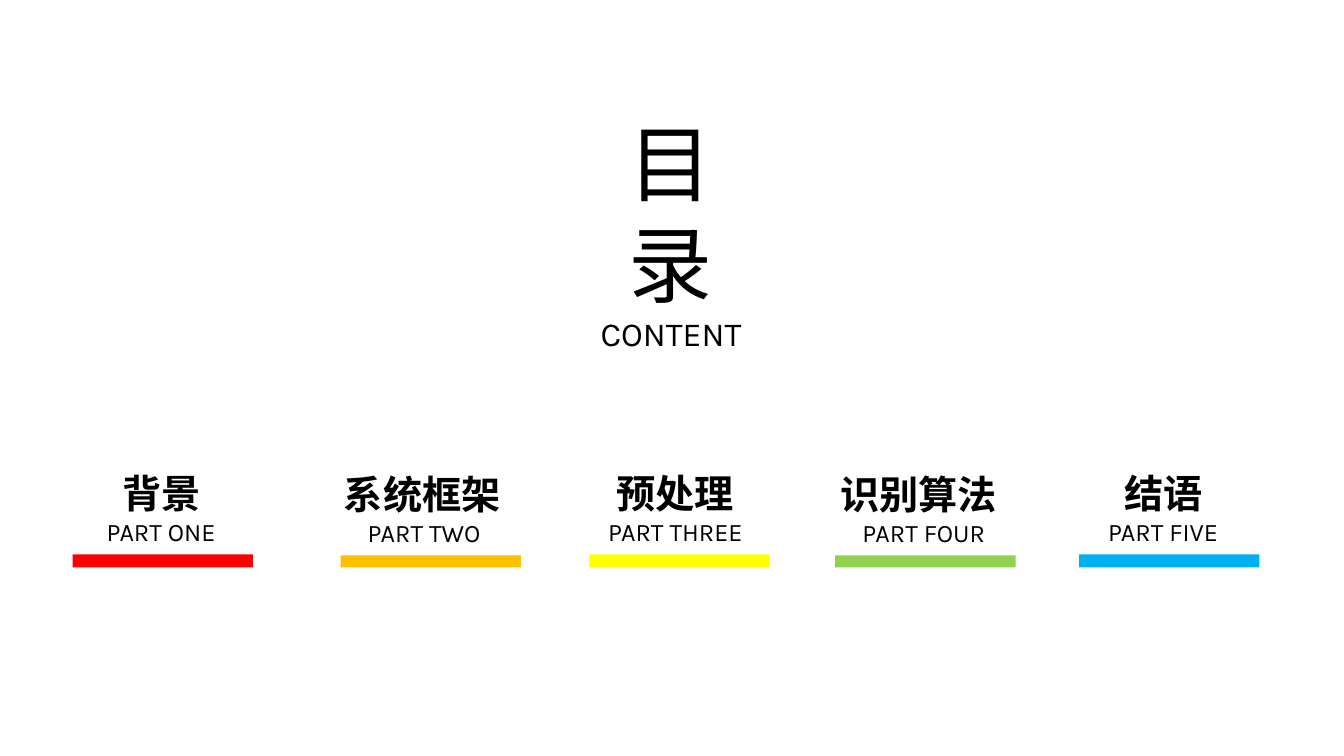
"""Build a contents slide with a title and five colour-coded parts."""
from pptx import Presentation
from pptx.dml.color import RGBColor
from pptx.enum.shapes import MSO_SHAPE
from pptx.enum.text import MSO_AUTO_SIZE, PP_ALIGN
from pptx.util import Inches, Pt

RECT = MSO_SHAPE.RECTANGLE
CENTER = PP_ALIGN.CENTER
GROW = MSO_AUTO_SIZE.SHAPE_TO_FIT_TEXT

COLORS = {
    "text": "000000",
    "red": "FF0000",
    "orange": "FFC000",
    "yellow": "FFFF00",
    "green": "92D050",
    "blue": "00B0F0",
}
FORMATS = {
    "title": {"name": "Karla", "size": Pt(60)},
    "subtitle": {"name": "Karla", "size": Pt(24)},
    "heading": {"name": "Karla", "size": Pt(28), "bold": True},
    "label": {"name": "Karla", "size": Pt(18)},
}
# heading, heading left, label, label left, label width, bar left, bar colour, drop
PARTS = [
    ("背景", 0.64, "PART ONE", 0.8, 1.6, 0.72, "red", 0),
    ("系统框架", 3.23, "PART TWO", 3.34, 1.74, 3.38, "orange", 0.01),
    ("预处理", 5.74, "PART THREE", 5.77, 1.87, 5.85, "yellow", 0),
    ("识别算法", 8.16, "PART FOUR", 8.4, 1.54, 8.29, "green", 0.01),
    ("结语", 10.59, "PART FIVE", 10.88, 1.33, 10.71, "blue", 0),
]


def add_text(s, box, lines, spacing=1.0, wrap=True):
    """Add a centred text box with one paragraph per (text, format) pair."""
    sp = s.shapes.add_textbox(*map(Inches, box))
    tf = sp.text_frame
    tf.word_wrap = wrap
    tf.auto_size = GROW
    for i, (text, style) in enumerate(lines):
        p = tf.add_paragraph() if i else tf.paragraphs[0]
        p.alignment = CENTER
        p.line_spacing = spacing
        r = p.add_run()
        r.text = text
        for key, value in FORMATS[style].items():
            setattr(r.font, key, value)
        r.font.color.rgb = RGBColor.from_string(COLORS["text"])


def add_bar(s, box, color):
    """Add a plain filled bar without outline or shadow."""
    sp = s.shapes.add_shape(RECT, *map(Inches, box))
    sp.shadow.inherit = False
    sp.fill.solid()
    sp.fill.fore_color.rgb = RGBColor.from_string(COLORS[color])
    sp.line.fill.background()


def add_part(s, heading, heading_x, label, label_x, label_w, bar_x, color, drop):
    """Add one part: heading, English label and coloured bar."""
    add_text(s, (label_x, 4.98 + drop, label_w, 0.49), [(label, "label")], 1.3)
    add_text(s, (heading_x, 4.47 + drop, 1.92, 0.71), [(heading, "heading")], 1.3)
    add_bar(s, (bar_x, 5.5 + drop, 1.79, 0.13 - drop), color)


def main():
    """Create the slide and save it."""
    prs = Presentation()
    prs.slide_width, prs.slide_height = Inches(13.34), Inches(7.5)
    s = prs.slides.add_slide(prs.slide_layouts[6])
    title = [("目录", "title"), ("CONTENT", "subtitle")]
    add_text(s, (5.73, 1.06, 1.86, 1.5), title, wrap=False)
    for part in PARTS:
        add_part(s, *part)
    prs.save("out.pptx")


if __name__ == "__main__":
    main()
